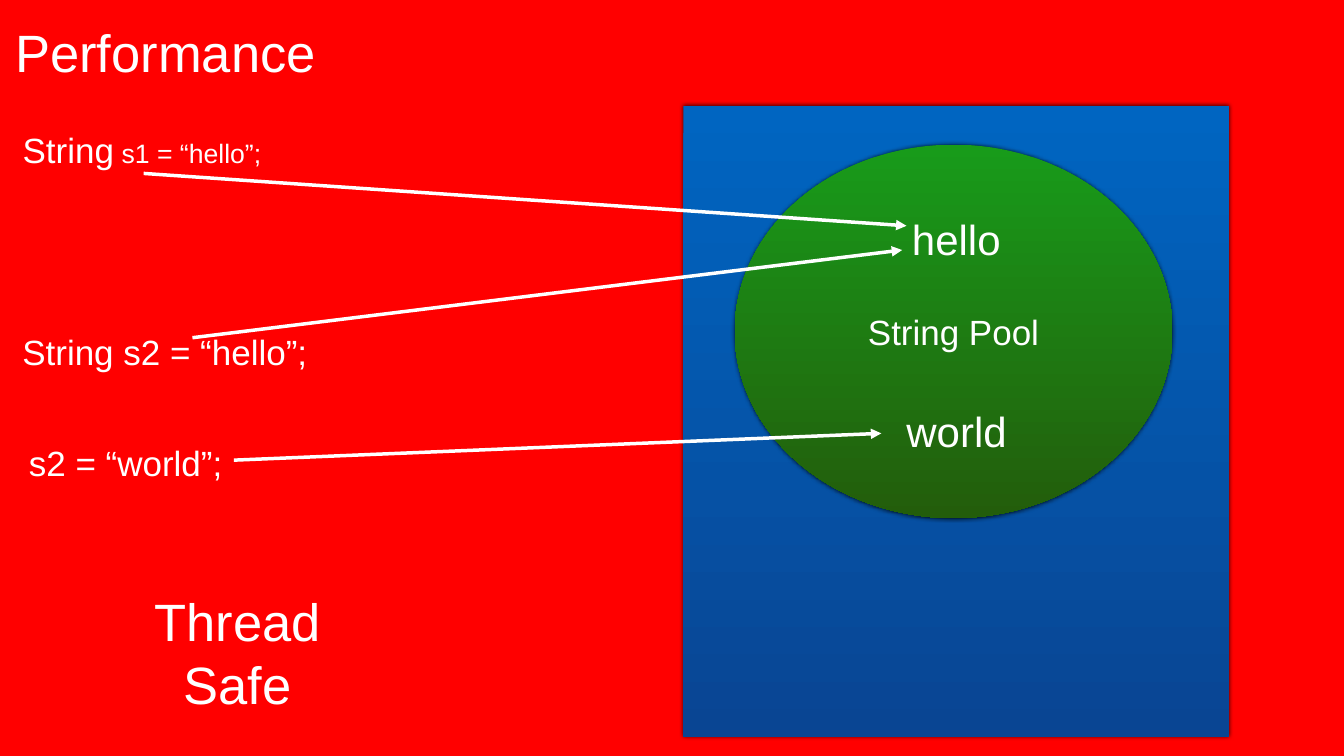
from lxml import etree
from pptx import Presentation
from pptx.dml.color import RGBColor
from pptx.enum import shapes, text
from pptx.oxml import parse_xml
from pptx.oxml.ns import nsdecls, qn
from pptx.util import Cm, Pt

COLORS = {
    "background": "FF0000",
    "white": "FFFFFF",
    "heap": ("0065C1", "094593"),
    "pool": ("189B1A", "235D0B"),
    "shadow": "000000",
}
FONT = "Arial"
INSET = 0.15

# Content: places are left, top, width, height in centimetres
HEAP = (34.44, 5.33, 27.53, 31.8)
POOL = (37.03, 7.29, 22.07, 18.82)
LABELS = [
    ([("String", 50), (" s1 = “hello”;", 38)], (0.86, 6.32, 12.6, 2.39)),
    ([("String s2 = “hello”;", 50)], (0.81, 16.54, 15.01, 2.39)),
    ([("hello", 60)], (45.8, 10.62, 4.8, 2.82)),
    ([("s2 = “world”;", 50)], (1.09, 22.12, 10.49, 2.39)),
    ([("world", 60)], (45.47, 20.32, 5.49, 2.82)),
    ([("Performance", 75)], (0.56, 0.89, 15.57, 3.45)),
]
THREAD_SAFE = ([("Thread Safe", 75)], (7.67, 31.12, 14.68, 3.45))
REFERENCES = [  # start x, start y, end x, end y
    (7.24, 8.74, 45.69, 11.38),
    (9.7, 17.02, 45.47, 12.6),
    (11.79, 23.19, 44.42, 21.84),
]


def rgb(name):
    return RGBColor.from_string(COLORS[name])


def write(shape, spans, wrap=False, grow=True, left=INSET, right=INSET):
    """Put centred white text, given as (words, size) spans, in a shape."""
    frame = shape.text_frame
    frame.word_wrap = wrap
    frame.auto_size = (text.MSO_AUTO_SIZE.SHAPE_TO_FIT_TEXT if grow
                       else text.MSO_AUTO_SIZE.NONE)
    frame.vertical_anchor = text.MSO_ANCHOR.MIDDLE
    frame.margin_left, frame.margin_right = Cm(left), Cm(right)
    frame.margin_top = frame.margin_bottom = Cm(INSET)
    para = frame.paragraphs[0]
    para.alignment = text.PP_ALIGN.CENTER
    for words, size in spans:
        span = para.add_run()
        span.text = words
        span.font.name = FONT
        span.font.size = Pt(size)
        span.font.color.rgb = rgb("white")


def add_gradient_shape(page, kind, place, colors):
    shape = page.shapes.add_shape(kind, *map(Cm, place))
    shape.fill.gradient()
    shape.fill.gradient_angle = 270
    for stop, color in zip(shape.fill.gradient_stops, colors):
        stop.color.rgb = RGBColor.from_string(color)
    shape.line.fill.background()
    # Soft shadow all round
    shape.shadow.inherit = False
    effects = shape._element.spPr.find(qn("a:effectLst"))
    effects.append(parse_xml(
        f'<a:outerShdw {nsdecls("a")} blurRad="{Pt(6)}" dist="0" dir="18900000">'
        f'<a:srgbClr val="{COLORS["shadow"]}"><a:alpha val="80000"/></a:srgbClr>'
        '</a:outerShdw>'))
    return shape


def add_label(page, spans, place, **layout):
    write(page.shapes.add_textbox(*map(Cm, place)), spans, **layout)


def add_arrow(page, ends):
    arrow = page.shapes.add_connector(shapes.MSO_CONNECTOR.STRAIGHT, *map(Cm, ends))
    arrow.line.color.rgb = rgb("white")
    arrow.line.width = Pt(5)
    etree.SubElement(arrow.line._get_or_add_ln(), qn("a:tailEnd"), type="triangle")
    etree.SubElement(arrow._element.spPr, qn("a:effectLst"))


def main():
    deck = Presentation()
    deck.slide_width, deck.slide_height = Cm(67.74), Cm(38.1)
    page = deck.slides.add_slide(deck.slide_layouts[6])
    page.background.fill.solid()
    page.background.fill.fore_color.rgb = rgb("background")

    # Memory area with the pool inside it
    add_gradient_shape(page, shapes.MSO_SHAPE.RECTANGLE, HEAP, COLORS["heap"])
    pool = add_gradient_shape(page, shapes.MSO_SHAPE.OVAL, POOL, COLORS["pool"])
    write(pool, [("String Pool", 50)], wrap=True, grow=False)

    # Title, statements and pooled values
    for spans, place in LABELS:
        add_label(page, spans, place)

    # The wide right margin breaks the phrase into two lines
    add_label(page, *THREAD_SAFE, wrap=True, grow=False, left=0, right=6.05)

    # Variables pointing at pooled values
    for ends in REFERENCES:
        add_arrow(page, ends)

    deck.save("out.pptx")


if __name__ == "__main__":
    main()
